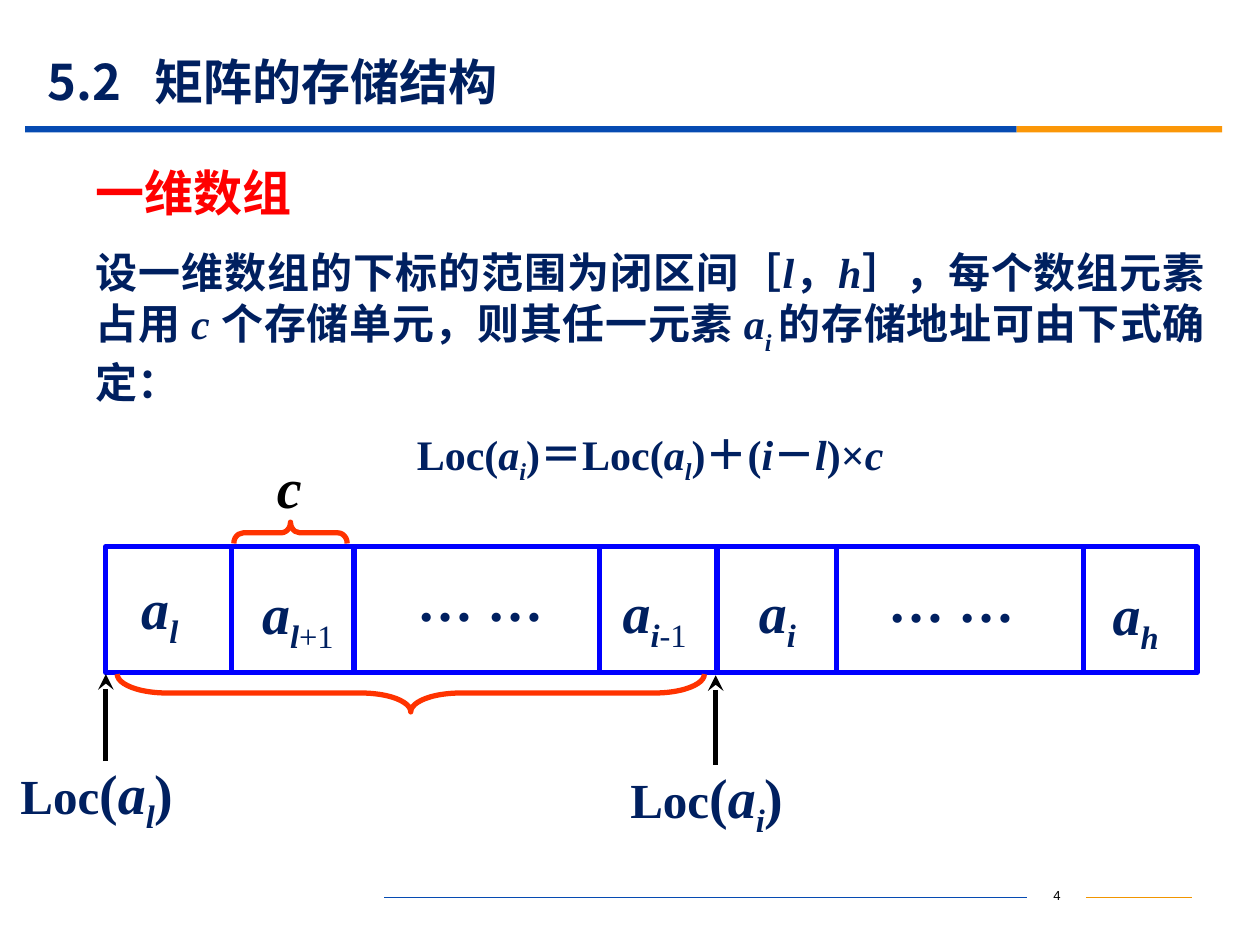
from dataclasses import dataclass
from typing import NamedTuple

from lxml import etree
from pptx import Presentation
from pptx.dml.color import RGBColor
from pptx.enum.shapes import MSO_CONNECTOR, MSO_SHAPE
from pptx.enum.text import MSO_ANCHOR, PP_ALIGN
from pptx.oxml.ns import qn
from pptx.util import Pt

LEFT, CENTER, JUSTIFY = PP_ALIGN.LEFT, PP_ALIGN.CENTER, PP_ALIGN.JUSTIFY
TOP, MIDDLE = MSO_ANCHOR.TOP, MSO_ANCHOR.MIDDLE
RECT, BRACE = MSO_SHAPE.RECTANGLE, MSO_SHAPE.LEFT_BRACE
STRAIGHT = MSO_CONNECTOR.STRAIGHT


@dataclass(frozen=True)
class Theme:
    navy: str = "002060"
    red: str = "FF0000"
    black: str = "000000"
    rule_blue: str = "064BB2"
    rule_orange: str = "FB9708"
    footer_orange: str = "F19500"
    cell_blue: str = "0000FF"
    brace: str = "FF3300"
    serif: str = "Times New Roman"
    sans: str = "Arial"
    cjk: str = "Noto Sans CJK SC"
    heading: float = 28
    body: float = 24
    symbol: float = 32
    page: float = 7.5
    thick: float = 3
    thin: float = 0.75


THEME = Theme()


class Run(NamedTuple):
    text: str
    italic: bool = False
    base: int = 0
    bold: bool = True
    size: float | None = None


class Box(NamedTuple):
    left: float
    top: float
    width: float
    height: float


class Label(NamedTuple):
    left: float
    top: float
    width: float
    runs: list[Run]
    align: PP_ALIGN = LEFT


class Pointer(NamedTuple):
    x: float
    top: float
    bottom: float
    index: str


def var(name: str, index: str = "", base: int = -25) -> list[Run]:
    """Italic variable with an optional subscript."""
    runs = [Run(name, italic=True)]
    return runs + [Run(index, italic=True, base=base)] if index else runs


def add_text(s, box: Box, *paragraphs: list[Run], size: float, color: str = THEME.navy,
             font: str = THEME.serif, align=(LEFT,), anchor=TOP, inset=(7.2, 3.6),
             after: float = 0, tab: float = 0, wrap: bool = True):
    tf = s.shapes.add_textbox(*map(Pt, box)).text_frame
    tf.word_wrap = wrap
    tf.vertical_anchor = anchor
    tf.margin_left = tf.margin_right = Pt(inset[0])
    tf.margin_top = tf.margin_bottom = Pt(inset[1])
    for i, runs in enumerate(paragraphs):
        p = tf.paragraphs[0] if i == 0 else tf.add_paragraph()
        p.alignment = align[i]
        p.space_after = Pt(after)
        if tab:
            tabs = etree.SubElement(p._p.get_or_add_pPr(), qn("a:tabLst"))
            etree.SubElement(tabs, qn("a:tab"), pos=str(Pt(tab)), algn="l")
        for run in runs:
            r = p.add_run()
            r.text = run.text
            r.font.size = Pt(run.size or size)
            r.font.bold, r.font.italic = run.bold, run.italic
            r.font.name = font
            r.font.color.rgb = RGBColor.from_string(color)
            rPr = r._r.get_or_add_rPr()
            if run.base:
                rPr.set("baseline", str(run.base * 1000))
            etree.SubElement(rPr, qn("a:ea"), typeface=THEME.cjk)


def add_shape(s, kind, box: Box, fill: str | None = None, line: str | None = None):
    sp = s.shapes.add_shape(kind, *map(Pt, box))
    sp.shadow.inherit = False
    if fill:
        sp.fill.solid()
        sp.fill.fore_color.rgb = RGBColor.from_string(fill)
    else:
        sp.fill.background()
    if line:
        sp.line.color.rgb = RGBColor.from_string(line)
        sp.line.width = Pt(THEME.thick)
    else:
        sp.line.fill.background()
    return sp


def add_brace(s, box: Box, rotation: float, curl: float):
    """Brace filling a horizontal box, turned about its centre."""
    left = box.left + (box.width - box.height) / 2
    top = box.top + (box.height - box.width) / 2
    sp = add_shape(s, BRACE, Box(left, top, box.height, box.width), line=THEME.brace)
    sp.rotation = rotation
    sp.adjustments[0] = curl
    sp.adjustments[1] = 0.5


def add_line(s, x1: float, y1: float, x2: float, y2: float, color: str,
             width: float, arrow: bool = False):
    cxn = s.shapes.add_connector(STRAIGHT, Pt(x1), Pt(y1), Pt(x2), Pt(y2))
    cxn.line.color.rgb = RGBColor.from_string(color)
    cxn.line.width = Pt(width)
    if arrow:
        etree.SubElement(cxn.line._get_or_add_ln(), qn("a:tailEnd"), type="stealth")
    etree.SubElement(cxn._element.spPr, qn("a:effectLst"))


def add_frame(s):
    add_line(s, 620.5, 512.8, 681, 512.8, THEME.footer_orange, THEME.thin)
    add_line(s, 219.5, 512.8, 587, 512.8, THEME.rule_blue, THEME.thin)
    add_text(s, Box(587, 503.3, 34, 18), [Run("4", bold=False)], size=THEME.page,
             color=THEME.black, font=THEME.sans, align=(CENTER,))
    add_shape(s, RECT, Box(14.4, 72, 566.6, 3.6), fill=THEME.rule_blue)
    add_shape(s, RECT, Box(581, 72, 117.4, 3.6), fill=THEME.rule_orange)
    add_text(s, Box(20.2, 31, 648, 31), [Run("5.2\t矩阵的存储结构")], size=THEME.heading,
             font=THEME.cjk, anchor=MIDDLE, tab=61)


def add_explanation(s):
    add_text(s, Box(47.5, 89.3, 192, 41), [Run("一维数组")],
             size=THEME.heading, color=THEME.red)
    statement = [Run("设一维数组的下标的范围为闭区间［"), *var("l"), Run("，"), *var("h"),
                 Run("］，每个数组元素占用 "), *var("c "), Run("个存储单元，则其任一元素 "),
                 *var("a", "i ", -30), Run("的存储地址可由下式确定：")]
    formula = [Run("Loc("), *var("a", "i"), Run(")＝Loc("), *var("a", "l"), Run(")＋("),
               *var("i"), Run("－"), *var("l"), Run(")×"), *var("c")]
    add_text(s, Box(47.5, 137.5, 648, 138), statement, formula,
             size=THEME.body, align=(JUSTIFY, CENTER), after=12)


def add_array(s):
    left, top, width, height = array = Box(60.5, 312.5, 623.5, 72)
    add_shape(s, RECT, array, line=THEME.cell_blue)
    for x in (132.5, 202.3, 342.7, 409.7, 478, 619.2):
        add_line(s, x, top, x, top + height, THEME.cell_blue, THEME.thick)
    dots = [Run("… …")]
    labels = [
        Label(80.7, 324, 40, var("a", "l")),
        Label(149.8, 326.9, 54, [*var("a", "l"), Run("+1", base=-25, bold=False)]),
        Label(223.9, 319.7, 101.5, dots, CENTER),
        Label(355.8, 326.2, 52, [*var("a", "i"), Run("-1", base=-25, bold=False)]),
        Label(433.6, 326.2, 32, var("a", "i")),
        Label(493.2, 320.4, 101.5, dots, CENTER),
        Label(635.8, 327.6, 40, var("a", "h")),
    ]
    for label in labels:
        add_text(s, Box(label.left, label.top, label.width, 45.4), label.runs,
                 size=THEME.symbol, align=(label.align,), inset=(0, 3.6), wrap=False)


def add_annotations(s):
    add_brace(s, Box(67, 385.2, 335.5, 21.6), 270, 1.317)
    add_brace(s, Box(133.6, 298.4, 64.8, 12.2), 90, 0.44)
    add_text(s, Box(151.2, 258.5, 28, 38), var("c"), size=THEME.symbol,
             color=THEME.black, inset=(7.2, 0))
    for pointer in (Pointer(60.5, 385.2, 434.9, "l"), Pointer(409, 385.9, 437, "i")):
        add_line(s, pointer.x, pointer.bottom, pointer.x, pointer.top,
                 THEME.black, THEME.thick, arrow=True)
        add_text(s, Box(pointer.x - 55.9, pointer.bottom - 1.5, 121.7, 38.9),
                 [Run("Loc", size=THEME.heading), Run("("), *var("a", pointer.index), Run(")")],
                 size=THEME.symbol, inset=(7.2, 0))


def main():
    prs = Presentation()
    prs.slide_width, prs.slide_height = Pt(720), Pt(540)
    s = prs.slides.add_slide(prs.slide_layouts[6])
    add_frame(s)
    add_explanation(s)
    add_array(s)
    add_annotations(s)
    prs.save("out.pptx")


if __name__ == "__main__":
    main()
